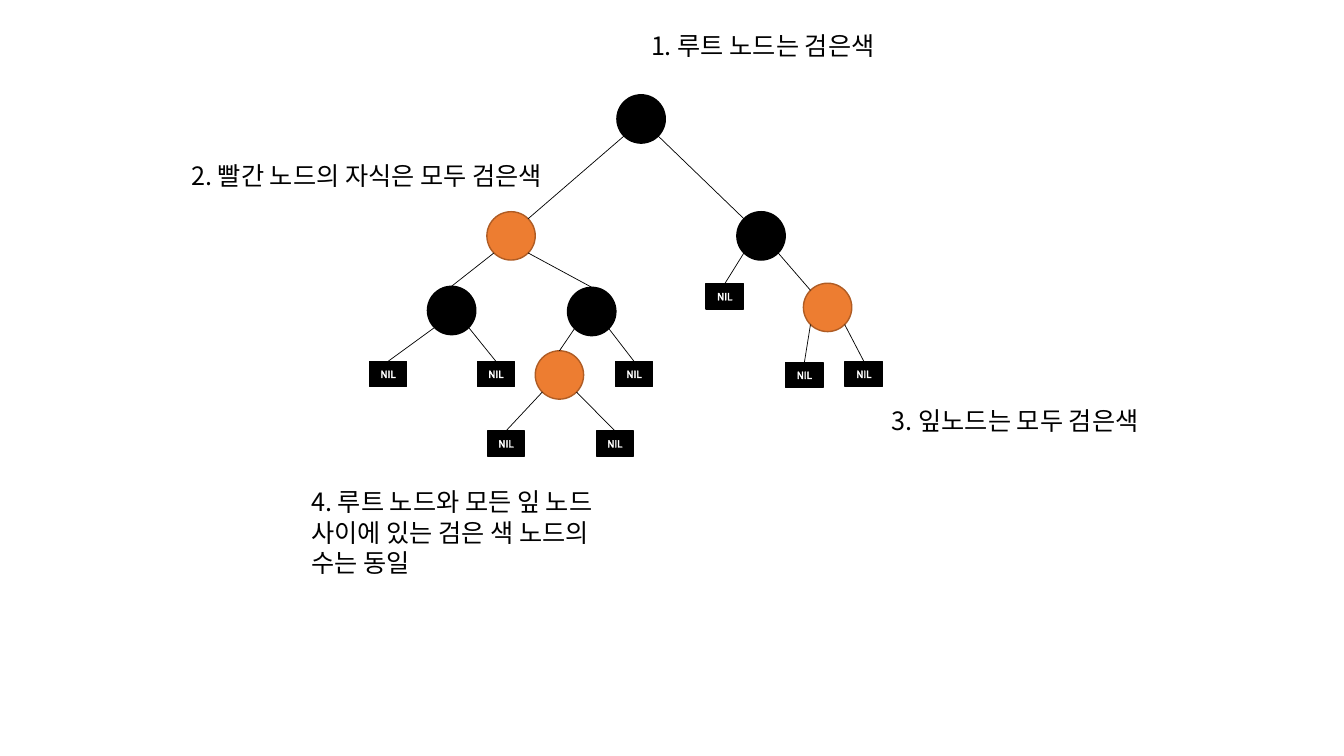
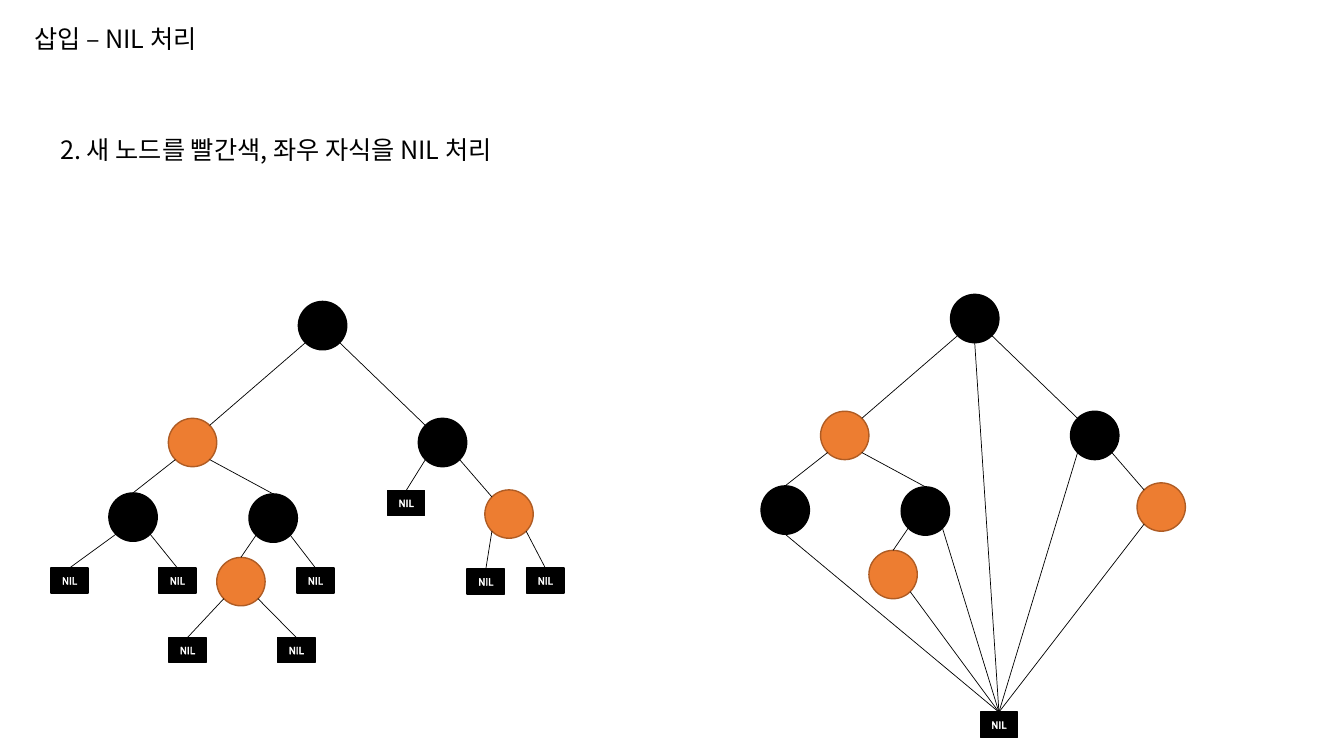
from dataclasses import dataclass
from math import sqrt

from pptx import Presentation, util as u
from pptx.dml.color import RGBColor
from pptx.enum import shapes, text
from pptx.oxml import parse_xml
from pptx.oxml.ns import nsdecls


@dataclass(frozen=True)
class Theme:
    black: str = "000000"
    white: str = "FFFFFF"
    red: str = "ED7D31"
    red_edge: str = "AF5C24"
    font: str = "Noto Sans CJK KR"
    body: float = 18
    nil: float = 7
    outline: float = 1
    edge: float = 0.5
    nil_stroke: float = 0.75


T = Theme()

# Lengths are columns and rows of a square grid, ten cells to the inch.
COLS, ROWS = 133.33, 75
NODE = 4.8
NIL_W, NIL_H = 3.7, 2.5

# Tree: name -> parent, offset from the root's centre, fill, where the edge enters
NODES = {
    "root": (None, 0, 0, T.black, None),
    "left": ("root", -12.9, 11.6, T.red, "top right"),
    "left-left": ("left", -18.8, 19, T.black, "top"),
    "left-right": ("left", -4.9, 19.1, T.black, "top"),
    "right": ("root", 11.9, 11.6, T.black, "top left"),
    "right-right": ("right", 18.5, 18.7, T.red, "top left"),
    "inner": ("left-right", -8.1, 25.4, T.red, "top"),
}
# NIL leaves: parent, offset from the root's centre
LEAVES = [
    ("right", 8.3, 17.6),
    ("right-right", 16.2, 25.4),
    ("right-right", 22.1, 25.3),
    ("left-right", -0.7, 25.3),
    ("left-left", -25.1, 25.3),
    ("left-left", -14.4, 25.3),
    ("inner", -13.4, 32.2),
    ("inner", -2.6, 32.2),
]
SHARED_NIL = (2.4, 40.3)
SHARED_EXITS = {
    "inner": "bottom right",
    "left-right": "bottom right",
    "root": "bottom",
    "right": "bottom left",
    "right-right": "bottom left",
    "left-left": "bottom",
}


def cells(n):
    return u.Inches(n / 10)


def rgb(value):
    return RGBColor.from_string(value)


def write(tf, words, *, size=T.body, color=T.black, align=text.PP_ALIGN.LEFT, stroke=None):
    p = tf.paragraphs[0]
    p.alignment = align
    r = p.add_run()
    r.text = words
    r.font.size = u.Pt(size)
    r.font.color.rgb = rgb(color)
    r.font.name = T.font
    props = r.font._element
    props.append(parse_xml(f'<a:ea {nsdecls("a")} typeface="{T.font}"/>'))
    if stroke:
        props.insert(0, parse_xml(
            f'<a:ln {nsdecls("a")} w="{u.Pt(stroke)}"><a:solidFill>'
            f'<a:srgbClr val="{color}"/></a:solidFill></a:ln>'))


def add_label(s, words, x, y, w, h=4, wrap=False):
    tf = s.shapes.add_textbox(cells(x), cells(y), cells(w), cells(h)).text_frame
    tf.word_wrap = wrap
    tf.auto_size = text.MSO_AUTO_SIZE.SHAPE_TO_FIT_TEXT
    write(tf, words)


def add_centred(s, kind, centre, w, h, fill, line):
    x, y = centre
    sp = s.shapes.add_shape(kind, cells(x - w / 2), cells(y - h / 2), cells(w), cells(h))
    sp.shadow.inherit = False
    sp.fill.solid()
    sp.fill.fore_color.rgb = rgb(fill)
    sp.line.color.rgb = rgb(line)
    sp.line.width = u.Pt(T.outline)
    return sp


def add_node(s, centre, fill):
    line = T.red_edge if fill == T.red else fill
    add_centred(s, shapes.MSO_SHAPE.OVAL, centre, NODE, NODE, fill, line)


def add_nil(s, centre):
    sp = add_centred(s, shapes.MSO_SHAPE.RECTANGLE, centre, NIL_W, NIL_H, T.black, T.black)
    tf = sp.text_frame
    tf.margin_left = tf.margin_right = tf.margin_top = tf.margin_bottom = 0
    tf.vertical_anchor = text.MSO_ANCHOR.MIDDLE
    write(tf, "NIL", size=T.nil, color=T.white, align=text.PP_ALIGN.CENTER,
          stroke=T.nil_stroke)


def add_edge(s, start, end):
    line = s.shapes.add_connector(shapes.MSO_CONNECTOR.STRAIGHT,
                                  *(cells(n) for n in (*start, *end)))
    line.line.color.rgb = rgb(T.black)
    line.line.width = u.Pt(T.edge)
    line._element.spPr.append(parse_xml(f'<a:effectLst {nsdecls("a")}/>'))


def rim(centre, side):
    """Point on a node's circle, such as "top" or "bottom left"."""
    dx = ("right" in side) - ("left" in side)
    dy = ("bottom" in side) - ("top" in side)
    reach = NODE / 2 / sqrt(dx * dx + dy * dy)
    return centre[0] + dx * reach, centre[1] + dy * reach


def exit_to(parent, child):
    return rim(parent, "bottom left" if child[0] < parent[0] else "bottom right")


def nil_top(centre):
    return centre[0], centre[1] - NIL_H / 2


def add_tree(s, x, y, shared=False):
    """Draw the tree with its root centred at x, y; shared joins all leaves in one."""
    centres = {name: (x + dx, y + dy) for name, (_, dx, dy, _, _) in NODES.items()}
    leaves = [(parent, (x + dx, y + dy)) for parent, dx, dy in LEAVES]
    sink = x + SHARED_NIL[0], y + SHARED_NIL[1]

    for name, (_, _, _, fill, _) in NODES.items():
        add_node(s, centres[name], fill)
    for centre in [sink] if shared else [c for _, c in leaves]:
        add_nil(s, centre)

    for name, (parent, _, _, _, entry) in NODES.items():
        if parent:
            child = centres[name]
            add_edge(s, rim(child, entry), exit_to(centres[parent], child))
    if shared:
        for name, side in SHARED_EXITS.items():
            add_edge(s, nil_top(sink), rim(centres[name], side))
    else:
        for parent, leaf in leaves:
            add_edge(s, nil_top(leaf), exit_to(centres[parent], leaf))


def build_rules(s):
    add_label(s, "1. 루트 노드는 검은색", 63.6, 2.5, 26.8)
    add_label(s, "2. 빨간 노드의 자식은 모두 검은색", 18, 15.4, 41.3)
    add_label(s, "3. 잎노드는 모두 검은색", 87.5, 39.7, 29.5)
    add_label(s, "4. 루트 노드와 모든 잎 노드 사이에 있는 검은 색 노드의 수는 동일",
              29.9, 47.8, 31.4, 10.1, wrap=True)
    add_tree(s, 63.6, 11.8)


def build_insertion(s):
    add_label(s, "삽입 – NIL 처리", 2.4, 1.8, 19.9)
    add_label(s, "2. 새 노드를 빨간색, 좌우 자식을 NIL 처리", 5, 12.8, 49.9)
    add_tree(s, 32, 32.3)
    add_tree(s, 96.7, 31.6, shared=True)


def main():
    prs = Presentation()
    prs.slide_width, prs.slide_height = cells(COLS), cells(ROWS)
    for build in (build_rules, build_insertion):
        build(prs.slides.add_slide(prs.slide_layouts[6]))
    prs.save("out.pptx")


if __name__ == "__main__":
    main()
